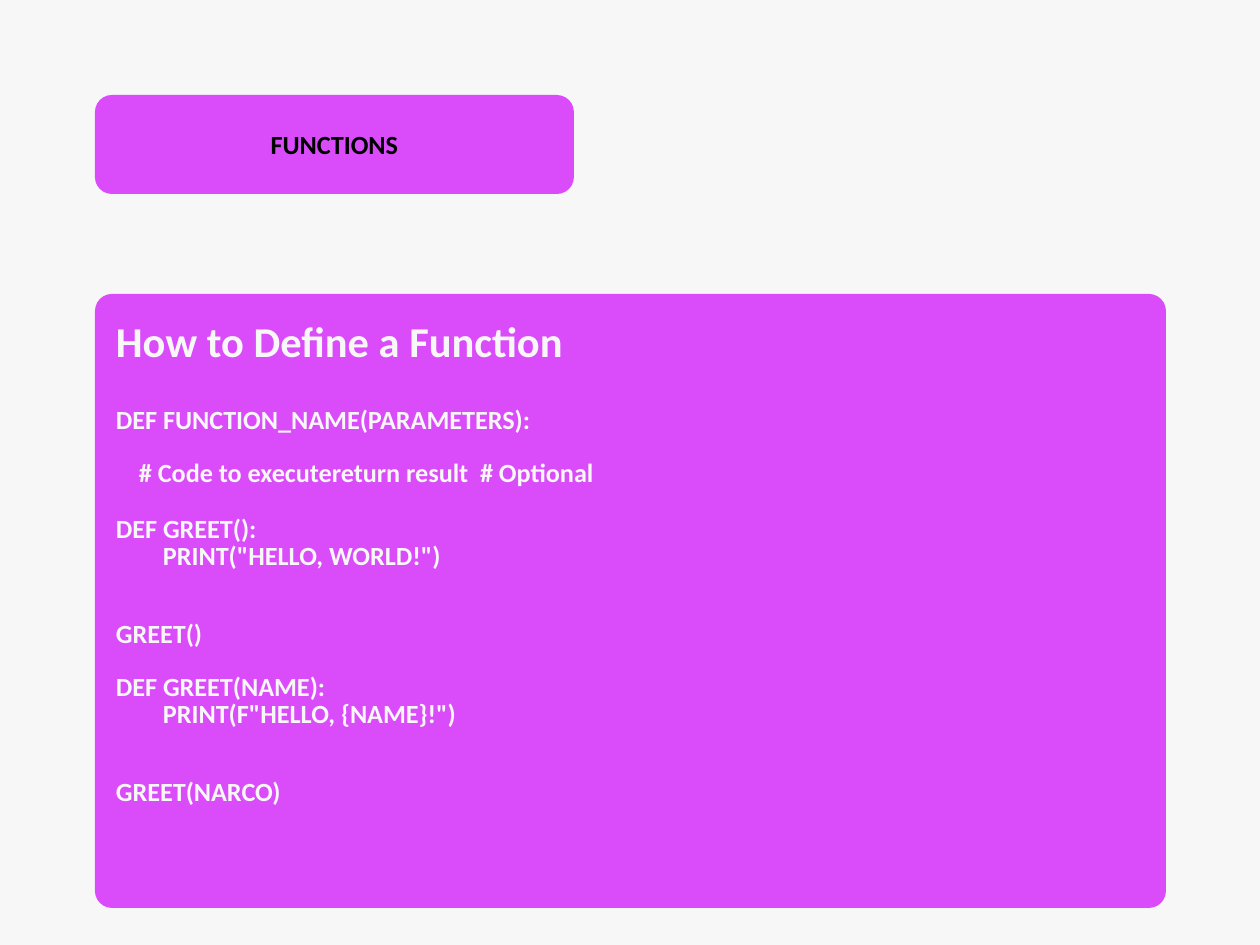
from pptx import Presentation
from pptx.dml.color import RGBColor
from pptx.enum.shapes import MSO_SHAPE
from pptx.enum.text import PP_ALIGN
from pptx.util import Pt

SCALE = 7743  # EMU in one px
COLOURS = {"page": "F7F7F7", "panel": "DA4CF9", "light": "F7F7F7", "dark": "000000"}
FONT = "Calibri"
CORNER = 17
LINE = 16  # pt, size and spacing of the code
INDENT = 47  # px, one level of code


def px(length):
    return round(length * SCALE)


def colour(name):
    return RGBColor.from_string(COLOURS[name])


def add_panel(page, left, top, width, height):
    panel = page.shapes.add_shape(
        MSO_SHAPE.ROUNDED_RECTANGLE, px(left), px(top), px(width), px(height))
    panel.adjustments[0] = CORNER / min(width, height)
    panel.shadow.inherit = False
    panel.fill.solid()
    panel.fill.fore_color.rgb = colour("panel")
    panel.line.fill.background()


def add_lines(page, left, top, width, height, lines, size=LINE, spacing=LINE,
              ink="light", align=PP_ALIGN.LEFT):
    """Each line is (text, indent in px, lines of space before)."""
    box = page.shapes.add_textbox(px(left), px(top), px(width), px(height))
    frame = box.text_frame
    frame.word_wrap = True
    frame.margin_left = frame.margin_right = 0
    frame.margin_top = frame.margin_bottom = 0
    for number, (text, indent, gap) in enumerate(lines):
        para = frame.add_paragraph() if number else frame.paragraphs[0]
        para.alignment = align
        para.line_spacing = Pt(spacing)
        para.space_before = Pt(gap * spacing)
        para._p.get_or_add_pPr().set("marL", str(px(indent)))
        span = para.add_run()
        span.text = text
        span.font.name = FONT
        span.font.size = Pt(size)
        span.font.bold = True
        span.font.color.rgb = colour(ink)


def add_title(page, left, top, width, height):
    add_panel(page, left, top, width, height)
    add_lines(page, left + 83, top + 39, width - 166, 26, [("FUNCTIONS", 0, 0)],
              ink="dark", align=PP_ALIGN.CENTER)


def add_lesson(page, left, top, width, height):
    add_panel(page, left, top, width, height)
    inner_left, inner_width = left + 21, width - 42

    # Heading
    add_lines(page, inner_left, top + 21, inner_width, 51,
              [("How to Define a Function", 0, 0)], size=25.9, spacing=31.1)

    # Code examples: offset from the panel's top, height, lines
    examples = [
        (115, 104, [("DEF FUNCTION_NAME(PARAMETERS):", 0, 0),
                    ("# Code to executereturn result  # Optional", INDENT // 2, 1)]),
        (224, 130, [("DEF GREET():", 0, 0),
                    ('PRINT("HELLO, WORLD!")', INDENT, 0),
                    ("GREET()", 0, 2)]),
        (382, 130, [("DEF GREET(NAME):", 0, 0),
                    ('PRINT(F"HELLO, {NAME}!")', INDENT, 0),
                    ("GREET(NARCO)", 0, 2)]),
    ]
    for offset, box_height, lines in examples:
        add_lines(page, inner_left, top + offset, inner_width, box_height, lines)


def main():
    deck = Presentation()
    deck.slide_width, deck.slide_height = px(1260), px(945)
    page = deck.slides.add_slide(deck.slide_layouts[6])
    page.background.fill.solid()
    page.background.fill.fore_color.rgb = colour("page")
    add_title(page, 95, 95, 479, 99)
    add_lesson(page, 95, 294, 1071, 614)
    deck.save("out.pptx")


if __name__ == "__main__":
    main()
